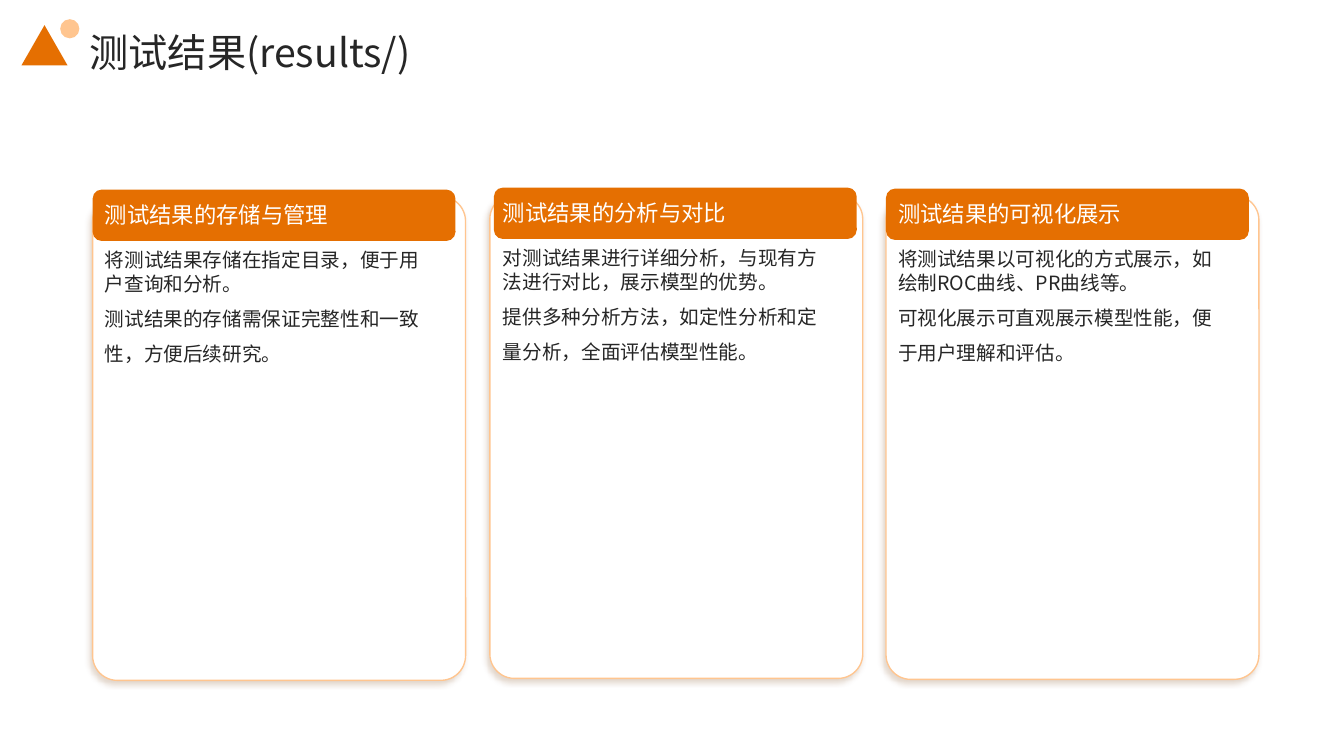
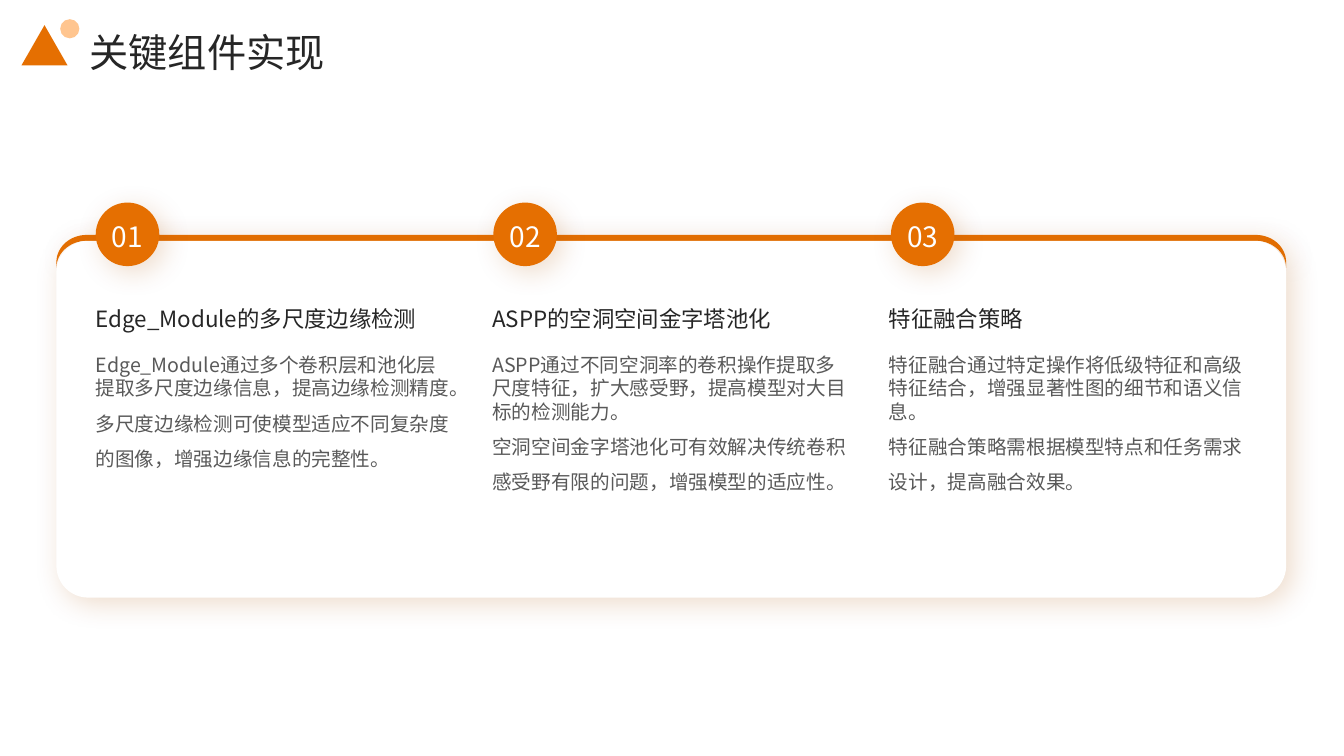
"""Build two slides: test results in three cards, and three key components in one panel."""
import math

from lxml import etree
from pptx import Presentation
from pptx import util as u
from pptx.dml import color
from pptx.enum import shapes, text
from pptx.oxml import ns

FONT = "Noto Sans CJK SC"
LINE_HEIGHT = 1.2
ORANGE, PEACH, WHITE = "E56F01", "FFC58F", "FFFFFF"
DARK, GRAY = "262626", "595959"
CARD_SHADOW = ("723800", 4, 3, 135)
PANEL_SHADOW = ("AC5301", 20, 6, 45)
SHAPE = shapes.MSO_SHAPE
MIDDLE, BOTTOM = text.MSO_ANCHOR.MIDDLE, text.MSO_ANCHOR.BOTTOM
rgb = color.RGBColor.from_string


def style(shape, fill, line=None, shadow=None, corner=None):
    shape.shadow.inherit = False
    shape.fill.solid()
    shape.fill.fore_color.rgb = rgb(fill)
    if line:
        shape.line.color.rgb = rgb(line)
        shape.line.width = u.Pt(0.95)
    else:
        shape.line.fill.background()
    if corner:
        shape.adjustments[0] = corner
    if shadow:
        tint, blur, distance, angle = shadow
        effects = shape._element.spPr.find(ns.qn("a:effectLst"))
        outer = etree.SubElement(effects, ns.qn("a:outerShdw"), blurRad=str(u.Pt(blur)),
                                 dist=str(u.Pt(distance)), dir=str(angle * 60000),
                                 algn="ctr", rotWithShape="0")
        tint_element = etree.SubElement(outer, ns.qn("a:srgbClr"), val=tint)
        etree.SubElement(tint_element, ns.qn("a:alpha"), val="20000")
    return shape


def write(shape, content, size=14, fill=DARK, spacing=(1, 1.5),
          anchor=text.MSO_ANCHOR.TOP, align=text.PP_ALIGN.LEFT):
    frame = shape.text_frame
    frame.word_wrap = True
    frame.vertical_anchor = anchor
    frame.margin_left = frame.margin_right = frame.margin_top = frame.margin_bottom = 0
    for index, (words, factor) in enumerate(zip(content.split("\n"), spacing)):
        paragraph = frame.add_paragraph() if index else frame.paragraphs[0]
        paragraph.alignment = align
        paragraph.line_spacing = u.Pt(round(size * LINE_HEIGHT * factor, 1))
        run = paragraph.add_run()
        run.text = words
        run.font.size = u.Pt(size)
        run.font.color.rgb = rgb(fill)
        run.font.name = FONT
        etree.SubElement(run._r.get_or_add_rPr(), ns.qn("a:ea"), typeface=FONT)


presentation = Presentation()
presentation.slide_width, presentation.slide_height = u.Pt(960), u.Pt(540)

slides = []
for title in ("测试结果(results/)", "关键组件实现"):
    slide = presentation.slides.add_slide(presentation.slide_layouts[6])
    slide.background.fill.solid()
    slide.background.fill.fore_color.rgb = rgb(WHITE)
    title_box = slide.shapes.add_textbox(u.Pt(64.1), u.Pt(10.8), u.Pt(817), u.Pt(42.5))
    write(title_box, title, size=28, spacing=(1.3,), anchor=MIDDLE)
    triangle = slide.shapes.add_shape(
        SHAPE.ISOSCELES_TRIANGLE, u.Pt(15.3), u.Pt(18), u.Pt(33), u.Pt(28.8))
    style(triangle, ORANGE)
    dot = slide.shapes.add_shape(SHAPE.OVAL, u.Pt(43), u.Pt(13.7), u.Pt(13.7), u.Pt(13.7))
    style(dot, PEACH)
    slides.append(slide)
results_slide, components_slide = slides

cards = [
    (66.2, 140.4, 66.2, 74.9, "测试结果的存储与管理",
     "将测试结果存储在指定目录，便于用户查询和分析。\n"
     "测试结果的存储需保证完整性和一致性，方便后续研究。"),
    (349.9, 139, 352.8, 359.3, "测试结果的分析与对比",
     "对测试结果进行详细分析，与现有方法进行对比，展示模型的优势。\n"
     "提供多种分析方法，如定性分析和定量分析，全面评估模型性能。"),
    (632.9, 139.7, 632.9, 641.5, "测试结果的可视化展示",
     "将测试结果以可视化的方式展示，如绘制ROC曲线、PR曲线等。\n"
     "可视化展示可直观展示模型性能，便于用户理解和评估。"),
]
for left, top, header_left, text_left, heading, body in cards:
    card = results_slide.shapes.add_shape(
        SHAPE.ROUNDED_RECTANGLE, u.Pt(left), u.Pt(top), u.Pt(266.4), u.Pt(345.6))
    style(card, WHITE, line=PEACH, shadow=CARD_SHADOW, corner=0.066)
    header = results_slide.shapes.add_shape(
        SHAPE.ROUNDED_RECTANGLE, u.Pt(header_left), u.Pt(top - 5), u.Pt(259.2), u.Pt(36.7))
    style(header, ORANGE, corner=0.177)
    body_box = results_slide.shapes.add_textbox(
        u.Pt(text_left), u.Pt(top + 36.9), u.Pt(235.4), u.Pt(292.3))
    write(body_box, body)
    heading_box = results_slide.shapes.add_textbox(
        u.Pt(text_left), u.Pt(top - 5), u.Pt(235.4), u.Pt(27.4))
    write(heading_box, heading, size=16, fill=WHITE, spacing=(1.1,), anchor=BOTTOM)

panel_left, panel_top, panel_width = 40.3, 172, 878.4
band_height, radius_x, radius_y = 4.2, 21.6, 19.4
arch = []
for degrees in range(180, -1, -6):
    angle = math.radians(degrees)
    center = panel_left + (radius_x if degrees >= 90 else panel_width - radius_x)
    if degrees == 90:
        arch.append((center, 0))
        center = panel_left + panel_width - radius_x
    arch.append((center + radius_x * math.cos(angle), radius_y * (1 - math.sin(angle))))
outline = [(x, panel_top - band_height + y) for x, y in arch]
outline += [(x, panel_top + y) for x, y in reversed(arch)]
points = [(u.Pt(x), u.Pt(y)) for x, y in outline]
builder = components_slide.shapes.build_freeform(*points[0])
builder.add_line_segments(points[1:], close=True)
style(builder.convert_to_shape(), ORANGE, shadow=PANEL_SHADOW)
panel = components_slide.shapes.add_shape(
    SHAPE.ROUNDED_RECTANGLE, u.Pt(panel_left), u.Pt(panel_top), u.Pt(panel_width), u.Pt(254.9))
style(panel, WHITE, shadow=PANEL_SHADOW, corner=0.089)

components = [
    ("Edge_Module的多尺度边缘检测",
     "Edge_Module通过多个卷积层和池化层提取多尺度边缘信息，提高边缘检测精度。\n"
     "多尺度边缘检测可使模型适应不同复杂度的图像，增强边缘信息的完整性。"),
    ("ASPP的空洞空间金字塔池化",
     "ASPP通过不同空洞率的卷积操作提取多尺度特征，扩大感受野，提高模型对大目标的检测能力。\n"
     "空洞空间金字塔池化可有效解决传统卷积感受野有限的问题，增强模型的适应性。"),
    ("特征融合策略",
     "特征融合通过特定操作将低级特征和高级特征结合，增强显著性图的细节和语义信息。\n"
     "特征融合策略需根据模型特点和任务需求设计，提高融合效果。"),
]
for index, (heading, body) in enumerate(components):
    text_left = 68.4 + 283.3 * index
    body_box = components_slide.shapes.add_textbox(
        u.Pt(text_left), u.Pt(252), u.Pt(254.9), u.Pt(156.2))
    write(body_box, body, fill=GRAY)
    heading_box = components_slide.shapes.add_textbox(
        u.Pt(text_left), u.Pt(204.5), u.Pt(254.9), u.Pt(42.5))
    write(heading_box, heading, size=16, spacing=(1.2,), anchor=MIDDLE)
    badge = components_slide.shapes.add_shape(
        SHAPE.OVAL, u.Pt(68.4 + 284 * index), u.Pt(144.7), u.Pt(45.4), u.Pt(45.4))
    style(badge, ORANGE, shadow=PANEL_SHADOW)
    write(badge, f"{index + 1:02}", size=20, fill=WHITE, spacing=(1.1,),
          anchor=MIDDLE, align=text.PP_ALIGN.CENTER)

presentation.save("out.pptx")
